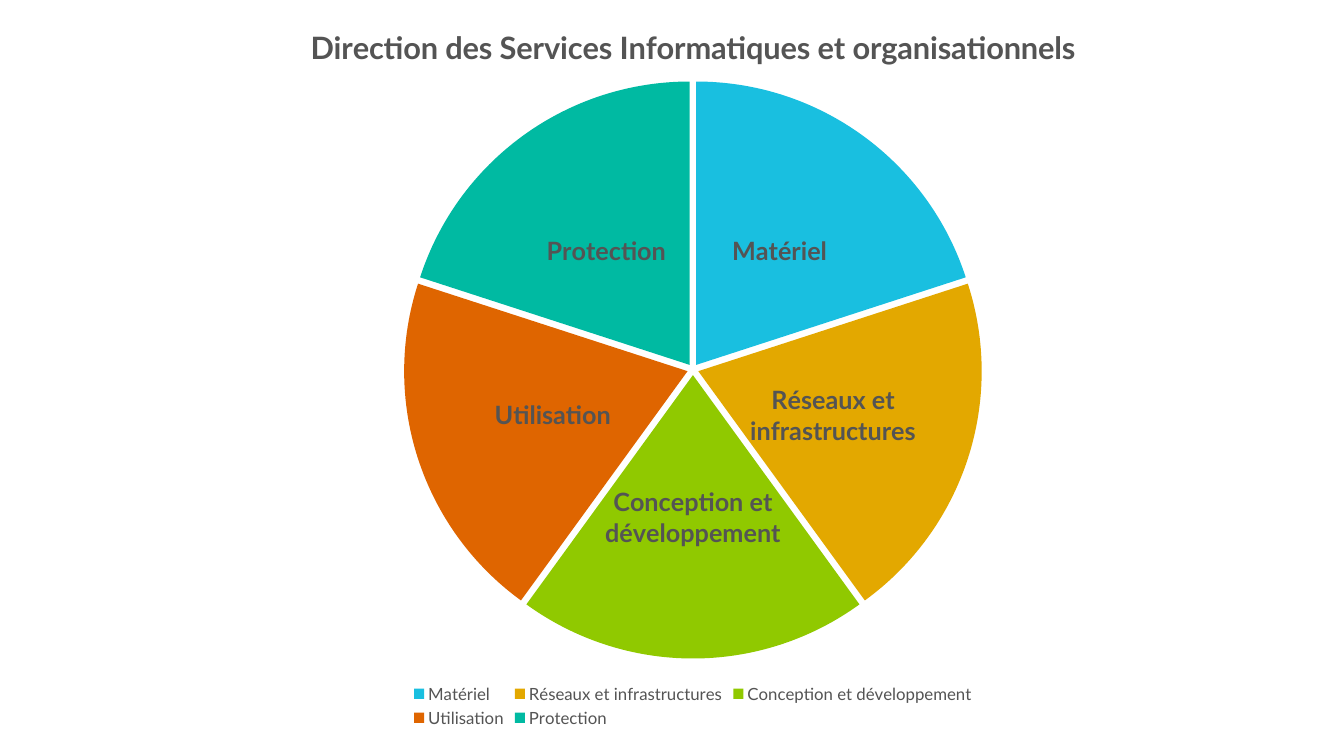
from lxml import etree
from pptx import Presentation
from pptx import util as u
from pptx.chart import data as chart_data
from pptx.dml import color
from pptx.enum import chart as chart_enum
from pptx.oxml import ns

FONT = "Lato"
TITLE = "Direction des Services Informatiques et organisationnels"
COLOURS = {"text": "545454"}
SECTORS = {
    "Matériel": "19BFE0",
    "Réseaux et infrastructures": "E3A800",
    "Conception et développement": "90C900",
    "Utilisation": "DF6500",
    "Protection": "00BAA2",
}


def style_font(font, size, bold=False):
    font.name = FONT
    font.size = u.Pt(size)
    font.bold = bold
    font.color.rgb = color.RGBColor.from_string(COLOURS["text"])


def set_text(text_frame, words, size):
    text_frame.text = words
    style_font(text_frame.paragraphs[0].runs[0].font, size, bold=True)


def add_pie(slide, left, top, width, height):
    sectors = chart_data.CategoryChartData()
    sectors.categories = list(SECTORS)
    sectors.add_series("Series 1", [20] * len(SECTORS))
    frame = slide.shapes.add_chart(
        chart_enum.XL_CHART_TYPE.PIE,
        u.Pt(left), u.Pt(top), u.Pt(width), u.Pt(height), sectors)
    chart = frame.chart
    style_font(chart.font, 12)
    chart.plots[0].vary_by_categories = True
    return chart


def add_title(chart, words):
    chart.has_title = True
    set_text(chart.chart_title.text_frame, words, 22)
    chart.chart_title.include_in_layout = False


def add_legend(chart):
    chart.has_legend = True
    chart.legend.position = chart_enum.XL_LEGEND_POSITION.BOTTOM
    chart.legend.include_in_layout = False
    style_font(chart.legend.font, 12)


def style_sectors(chart):
    series = chart.plots[0].series[0]
    labels = series.data_labels
    labels.show_percentage = True
    labels.show_value = False
    labels.position = chart_enum.XL_LABEL_POSITION.CENTER
    style_font(labels.font, 12)
    for index, (name, fill) in enumerate(SECTORS.items()):
        point = series.points[index]
        point.format.fill.solid()
        point.format.fill.fore_color.rgb = color.RGBColor.from_string(fill)
        point.format.line.fill.background()
        set_text(point.data_label.text_frame, name, 18)
        point.data_label.position = chart_enum.XL_LABEL_POSITION.CENTER


def explode_sectors(chart, percent):
    series = chart.plots[0].series[0]
    explosion = etree.Element(ns.qn("c:explosion"), val=str(percent))
    series._element.find(ns.qn("c:dPt")).addprevious(explosion)


def place_plot(chart, **fractions):
    """Fix the inner plot area as fractions of the chart frame."""
    plot_area = chart._chartSpace.chart.plotArea
    for old_layout in plot_area.findall(ns.qn("c:layout")):
        plot_area.remove(old_layout)
    layout = etree.Element(ns.qn("c:layout"))
    manual = etree.SubElement(layout, ns.qn("c:manualLayout"))
    settings = {"layoutTarget": "inner", "xMode": "edge", "yMode": "edge"}
    for tag, value in {**settings, **fractions}.items():
        etree.SubElement(manual, ns.qn("c:" + tag), val=str(value))
    plot_area.insert(0, layout)


def main():
    presentation = Presentation()
    presentation.slide_width = u.Pt(960)
    presentation.slide_height = u.Pt(540)
    slide = presentation.slides.add_slide(presentation.slide_layouts[6])

    # Pie of the five equal departments
    chart = add_pie(slide, 121.7, 0, 746.6, 522.7)
    style_sectors(chart)
    explode_sectors(chart, 2)
    place_plot(chart, x=0.22, y=0.11, w=0.56, h=0.79)

    # Heading and key
    add_title(chart, TITLE)
    add_legend(chart)

    presentation.save("out.pptx")


main()
